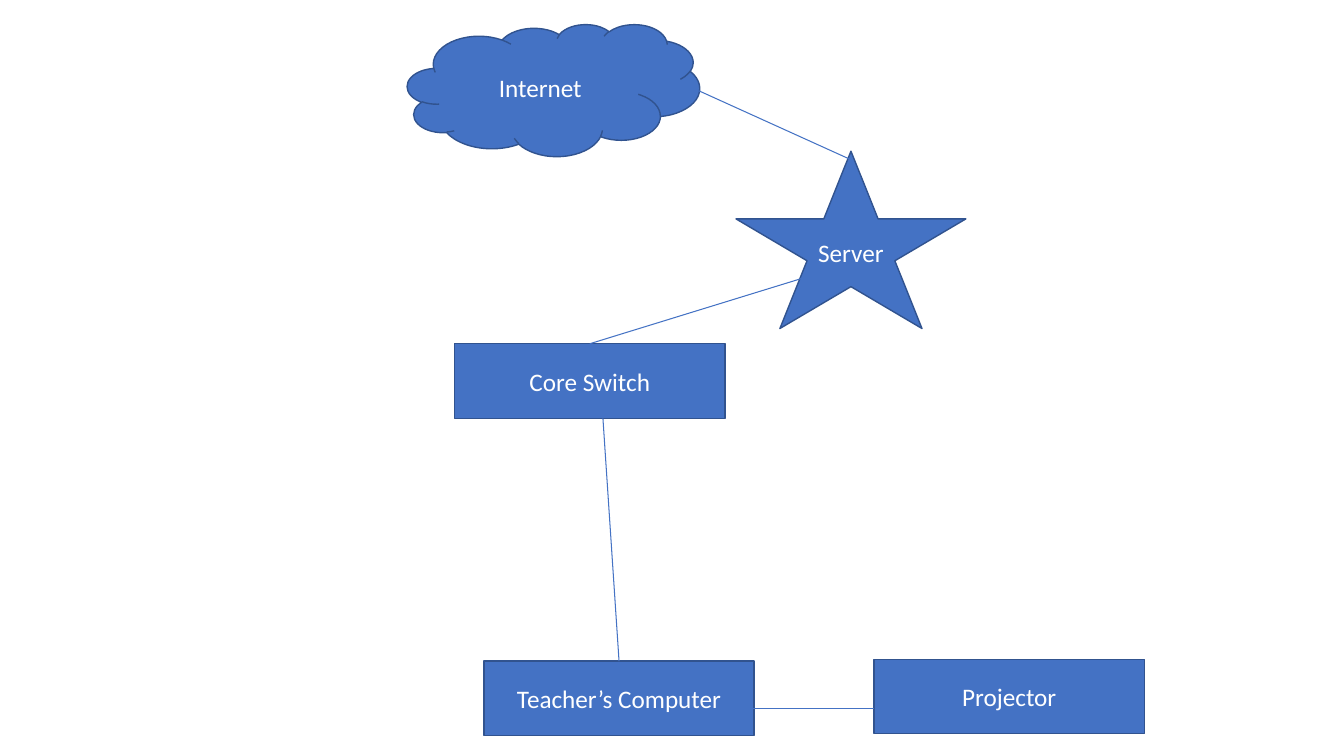
from lxml import etree
from pptx import Presentation
from pptx.dml.color import RGBColor
from pptx.enum.shapes import MSO_CONNECTOR, MSO_SHAPE
from pptx.enum.text import MSO_ANCHOR, PP_ALIGN
from pptx.oxml.ns import qn
from pptx.util import Inches, Pt

RECTANGLE = MSO_SHAPE.RECTANGLE
STAR = MSO_SHAPE.STAR_5_POINT
CLOUD = MSO_SHAPE.CLOUD
STRAIGHT = MSO_CONNECTOR.STRAIGHT
MIDDLE = MSO_ANCHOR.MIDDLE
CENTER = PP_ALIGN.CENTER

BLUE = "4472C4"
DARK_BLUE = "31538F"
WHITE = "FFFFFF"
BOX_SIZE = (2.68, 0.74)


def color(hex_string):
    return RGBColor.from_string(hex_string)


def write(text, frame, size=18, font="Calibri", ink=WHITE):
    frame.word_wrap = True
    frame.vertical_anchor = MIDDLE
    paragraph = frame.paragraphs[0]
    paragraph.alignment = CENTER
    run = paragraph.add_run()
    run.text = text
    run.font.size = Pt(size)
    run.font.name = font
    run.font.color.rgb = color(ink)


presentation = Presentation()
presentation.slide_width = Inches(13.33)
presentation.slide_height = Inches(7.5)
slide = presentation.slides.add_slide(presentation.slide_layouts[6])

devices = [
    ("Teacher’s Computer", RECTANGLE, (4.8, 6.56), BOX_SIZE),
    ("Server", STAR, (7.3, 1.5), (2.28, 1.76)),
    ("Core Switch", RECTANGLE, (4.51, 3.41), BOX_SIZE),
    ("Internet ", CLOUD, (4.04, 0.24), (2.9, 1.31)),
    ("Projector", RECTANGLE, (8.67, 6.54), BOX_SIZE),
]
for label, outline, corner, size in devices:
    device = slide.shapes.add_shape(outline, *map(Inches, corner + size))
    device.shadow.inherit = False
    device.fill.solid()
    device.fill.fore_color.rgb = color(BLUE)
    device.line.color.rgb = color(DARK_BLUE)
    device.line.width = Pt(1)
    write(label, device.text_frame)

cables = [
    (5.98, 4.15, 6.14, 6.56),
    (7.96, 2.76, 5.85, 3.41),
    (6.93, 0.9, 8.43, 1.58),
    (8.67, 7.03, 7.43, 7.03),
]
for ends in cables:
    cable = slide.shapes.add_connector(STRAIGHT, *map(Inches, ends))
    cable.line.color.rgb = color(BLUE)
    cable.line.width = Pt(0.75)
    etree.SubElement(cable.element.spPr, qn("a:effectLst"))

presentation.save("out.pptx")
